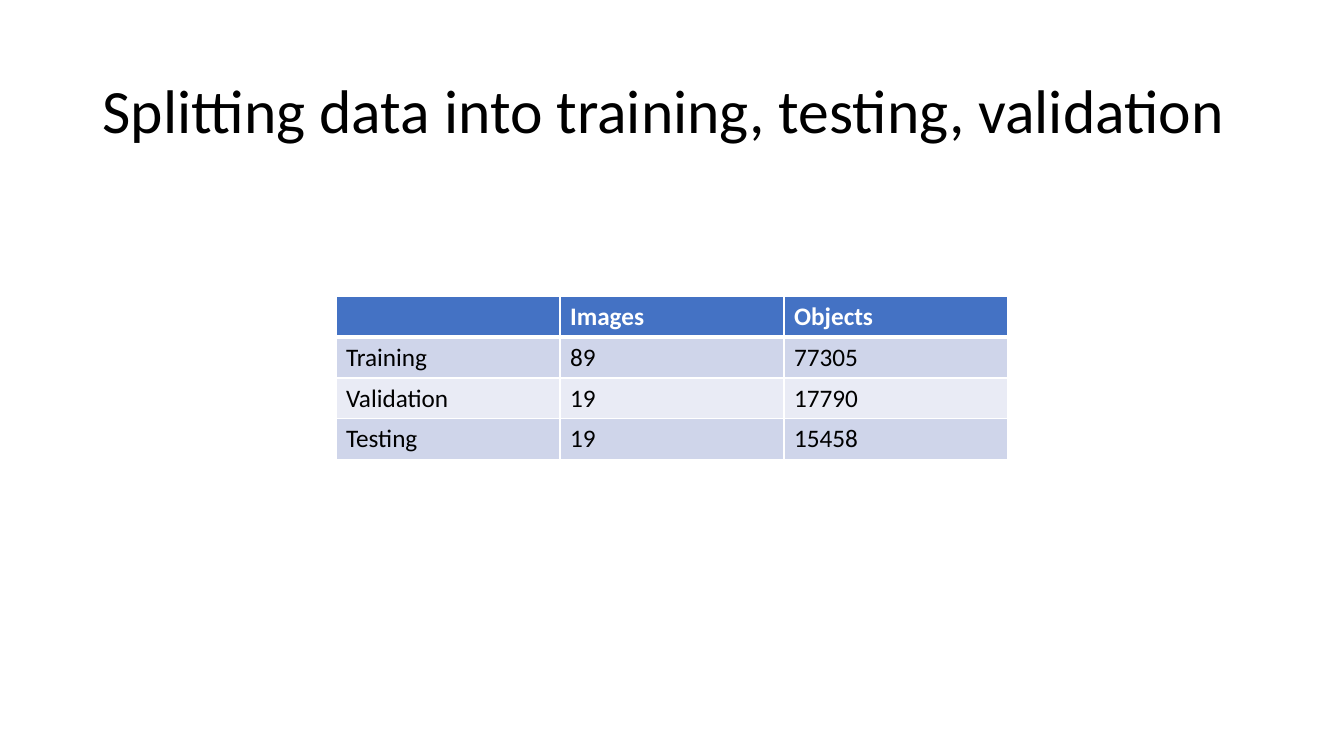
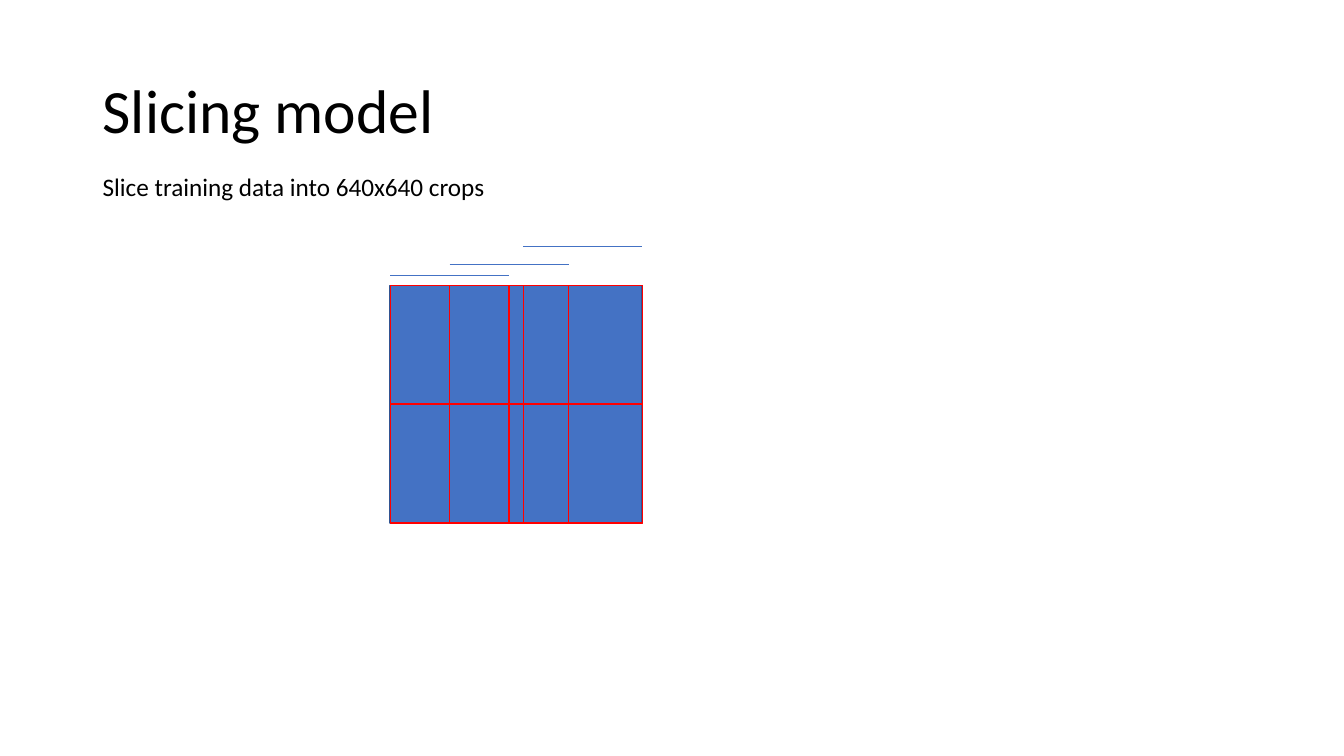
from dataclasses import dataclass
from itertools import product

from lxml import etree
from pptx import Presentation
from pptx.dml.color import RGBColor as Rgb
from pptx.enum.shapes import MSO_CONNECTOR as Connector, MSO_SHAPE as Preset
from pptx.enum.text import MSO_ANCHOR as Anchor
from pptx.oxml.ns import qn
from pptx.util import Inches, Pt


@dataclass(frozen=True)
class Theme:
    font: str = "Calibri"
    title_size: int = 44
    body_size: int = 18
    text: str = "000000"
    white: str = "FFFFFF"
    accent: str = "4472C4"
    outline: str = "325491"
    crop_line: str = "FF0000"
    bands: tuple = ("CFD5EA", "E9EBF5")
    rule: float = 1
    header_rule: float = 3
    span_rule: float = 0.5


THEME = Theme()
WIDTH, HEIGHT = 13.33, 7.5
MARGIN = 0.92
TITLE_BOX = (MARGIN, 0.4, WIDTH - 2 * MARGIN, 1.45)

SPLIT_TITLE = "Splitting data into training, testing, validation"
SPLIT_ROWS = [
    ("", "Images", "Objects"),
    ("Training", "89", "77305"),
    ("Validation", "19", "17790"),
    ("Testing", "19", "15458"),
]
TABLE_WIDTH, TABLE_TOP, ROW_HEIGHT = WIDTH / 2, 2.94, 0.405

SLICE_TITLE = "Slicing model"
SLICE_NOTE = "Slice training data into 640x640 crops"
NOTE_BOX = (MARGIN, 1.65, 4.03, 0.4)
CROP = 1.18
IMAGE_LEFT, IMAGE_TOP, IMAGE_WIDTH = 3.87, 2.83, 2.5
CROP_LEFTS = [IMAGE_LEFT, IMAGE_LEFT + CROP / 2, IMAGE_LEFT + IMAGE_WIDTH - CROP]
CROP_TOPS = [IMAGE_TOP, IMAGE_TOP + CROP]
SPAN_TOPS = [2.73, 2.62, 2.44]


def inches(*lengths):
    return [Inches(length) for length in lengths]


def style(para, size, color=THEME.text, bold=False):
    para.font.name = THEME.font
    para.font.size = Pt(size)
    para.font.bold = bold
    para.font.color.rgb = Rgb.from_string(color)


def add_text(page, text, bounds, size, wrap=True):
    frame = page.shapes.add_textbox(*inches(*bounds)).text_frame
    frame.word_wrap = wrap
    para = frame.paragraphs[0]
    para.text = text
    style(para, size)
    return frame


def add_page(deck, title):
    page = deck.slides.add_slide(deck.slide_layouts[6])
    frame = add_text(page, title, TITLE_BOX, THEME.title_size)
    frame.vertical_anchor = Anchor.MIDDLE
    frame.paragraphs[0].line_spacing = 0.9
    return page


def set_line(shape, color, width):
    shape.line.color.rgb = Rgb.from_string(color)
    shape.line.width = Pt(width)


def add_rect(page, bounds, line, fill=None):
    rect = page.shapes.add_shape(Preset.RECTANGLE, *inches(*bounds))
    rect.shadow.inherit = False
    if fill:
        rect.fill.solid()
        rect.fill.fore_color.rgb = Rgb.from_string(fill)
    else:
        rect.fill.background()
    set_line(rect, line, THEME.rule)


def add_span(page, left, top):
    span = page.shapes.add_connector(
        Connector.STRAIGHT, *inches(left, top, left + CROP, top))
    set_line(span, THEME.accent, THEME.span_rule)
    etree.SubElement(span._element.spPr, qn("a:effectLst"))


def set_borders(cell, widths):
    props = cell._tc.get_or_add_tcPr()
    for side, width in widths.items():
        border = etree.SubElement(props, qn(f"a:ln{side}"), w=str(Pt(width)))
        fill = etree.SubElement(border, qn("a:solidFill"))
        etree.SubElement(fill, qn("a:srgbClr"), val=THEME.white)


def add_split_table(page, rows):
    bounds = ((WIDTH - TABLE_WIDTH) / 2, TABLE_TOP, TABLE_WIDTH, ROW_HEIGHT * len(rows))
    table = page.shapes.add_table(len(rows), len(rows[0]), *inches(*bounds)).table
    for row, values in enumerate(rows):
        header = row == 0
        fill = THEME.accent if header else THEME.bands[(row - 1) % 2]
        color = THEME.white if header else THEME.text
        widths = dict.fromkeys("LRTB", THEME.rule)
        if row < 2:
            widths["B" if header else "T"] = THEME.header_rule
        for column, value in enumerate(values):
            cell = table.cell(row, column)
            cell.text = value
            style(cell.text_frame.paragraphs[0], THEME.body_size, color, header)
            set_borders(cell, widths)
            cell.fill.solid()
            cell.fill.fore_color.rgb = Rgb.from_string(fill)


def add_slicing_diagram(page):
    image = (IMAGE_LEFT, IMAGE_TOP, IMAGE_WIDTH, CROP * len(CROP_TOPS))
    add_rect(page, image, THEME.outline, THEME.accent)
    for top, left in product(CROP_TOPS, CROP_LEFTS):
        add_rect(page, (left, top, CROP, CROP), THEME.crop_line)
    for left, top in zip(CROP_LEFTS, SPAN_TOPS):
        add_span(page, left, top)


def main():
    deck = Presentation()
    deck.slide_width, deck.slide_height = inches(WIDTH, HEIGHT)
    add_split_table(add_page(deck, SPLIT_TITLE), SPLIT_ROWS)
    slicing = add_page(deck, SLICE_TITLE)
    add_text(slicing, SLICE_NOTE, NOTE_BOX, THEME.body_size, wrap=False)
    add_slicing_diagram(slicing)
    deck.save("out.pptx")


if __name__ == "__main__":
    main()
